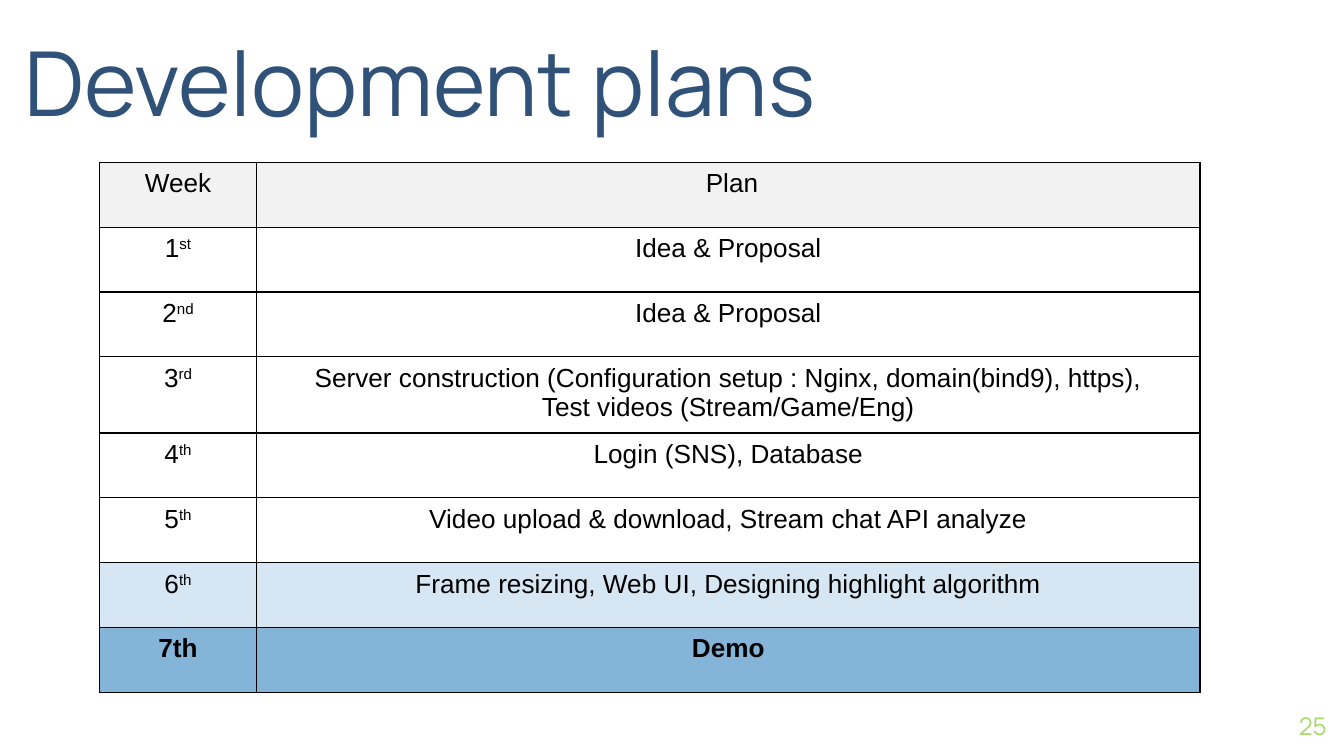
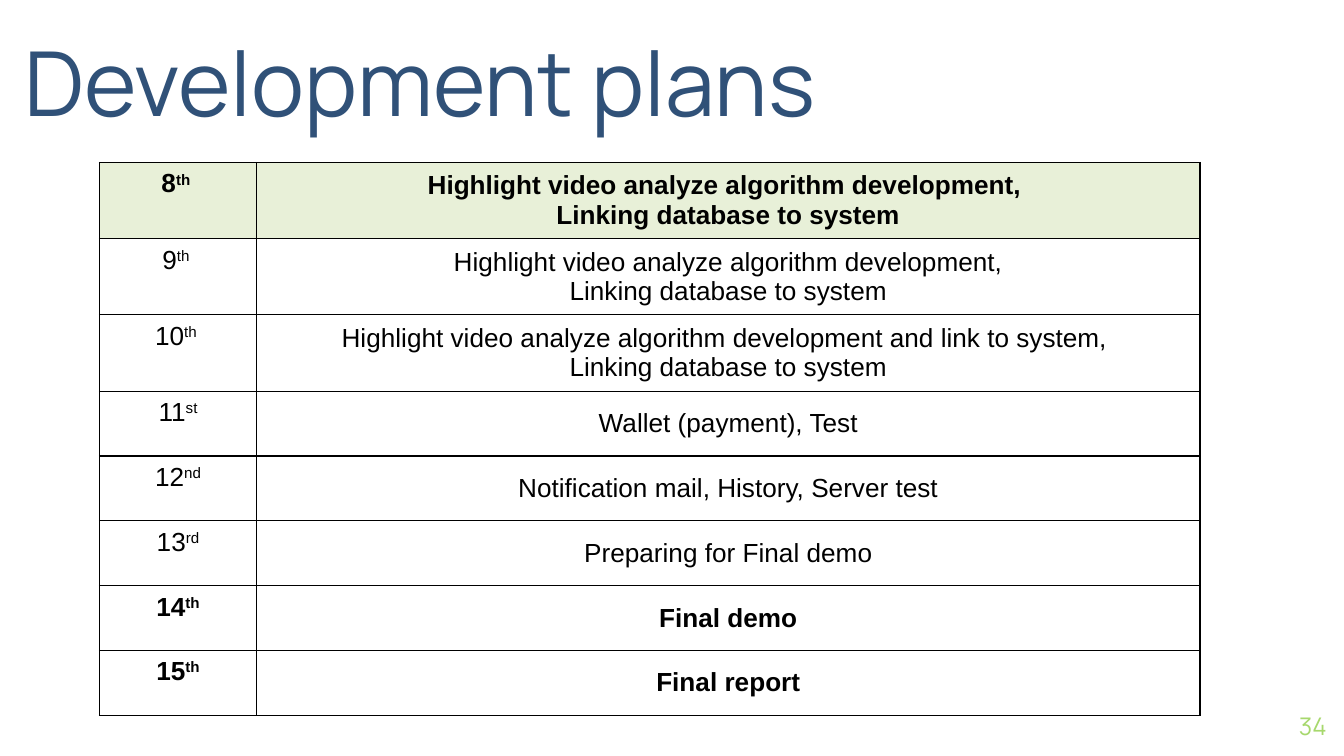
from lxml import etree
from pptx import Presentation
from pptx.dml.color import RGBColor
from pptx.enum.text import MSO_ANCHOR, PP_ALIGN
from pptx.oxml.ns import qn
from pptx.util import Cm, Pt

TOP, MIDDLE, BOTTOM = MSO_ANCHOR.TOP, MSO_ANCHOR.MIDDLE, MSO_ANCHOR.BOTTOM
LEFT, CENTER, RIGHT = PP_ALIGN.LEFT, PP_ALIGN.CENTER, PP_ALIGN.RIGHT

# Shared style
NAVY, LIME, BLACK, WHITE = "305178", "A7D86D", "000000", "FFFFFF"
GREY, PALE_BLUE, BLUE, PALE_GREEN = "F2F2F2", "D6E6F2", "85B4D9", "E8F0D8"
HEADING_FONT, TABLE_FONT = "Manrope", "Arial"

# Boxes in cm: left, top, width, height
TITLE_BOX = (0.46, 0.15, 17.5, 2.39)
NUMBER_BOX = (23.55, 13.18, 1.52, 1.09)
TABLE_BOX = (1.88, 3.07, 20.8, 9.8)
WEEK_WIDTH = 2.97

# Rows: week, ordinal suffix, plan lines, fill, bold
FIRST_WEEKS = [
    ("Week", "", [" Plan"], GREY, False),
    ("1", "st", ["Idea & Proposal"], None, False),
    ("2", "nd", ["Idea & Proposal"], None, False),
    ("3", "rd", ["Server construction (Configuration setup : Nginx, domain(bind9), https),",
                 "Test videos (Stream/Game/Eng)"], WHITE, False),
    ("4", "th", ["Login (SNS), Database"], None, False),
    ("5", "th", ["Video upload & download, Stream chat API analyze"], None, False),
    ("6", "th", ["Frame resizing, Web UI, Designing highlight algorithm"], PALE_BLUE, False),
    ("7th", "", ["Demo"], BLUE, True),
]
LINKING = "Linking database to system"
LAST_WEEKS = [
    ("8", "th ", ["Highlight video analyze algorithm development, ", LINKING], PALE_GREEN, True),
    ("9", "th ", ["Highlight video analyze algorithm development,", LINKING], None, False),
    ("10", "th ", ["Highlight video analyze algorithm development and link to system, ",
                   LINKING], None, False),
    ("11", "st", ["Wallet (payment), Test"], WHITE, False),
    ("12", "nd", ["Notification mail, History, Server test"], None, False),
    ("13", "rd", ["Preparing for Final demo"], None, False),
    ("14", "th", ["Final demo"], None, True),
    ("15", "th", ["Final report"], None, True),
]


def color(value):
    return RGBColor.from_string(value)


def style(paragraph, font_name, size, text_color, alignment, bold=False):
    paragraph.alignment = alignment
    font = paragraph.font
    font.name, font.size, font.bold = font_name, Pt(size), bold
    font.color.rgb = color(text_color)


def add_text(slide, box, text, size, text_color, alignment, anchor):
    frame = slide.shapes.add_textbox(*map(Cm, box)).text_frame
    frame.word_wrap = True
    frame.vertical_anchor = anchor
    frame.margin_left = frame.margin_top = frame.margin_right = frame.margin_bottom = 0
    paragraph = frame.paragraphs[0]
    paragraph.text = text
    style(paragraph, HEADING_FONT, size, text_color, alignment)


def set_borders(cell):
    properties = cell._tc.get_or_add_tcPr()
    for position, side in enumerate(("a:lnL", "a:lnR", "a:lnT", "a:lnB")):
        line = etree.Element(qn(side), w=str(Pt(0.75)))
        fill = etree.SubElement(line, qn("a:solidFill"))
        etree.SubElement(fill, qn("a:srgbClr"), val=BLACK)
        properties.insert(position, line)


def fill_cell(cell, lines, suffix, fill, bold, anchor):
    cell.vertical_anchor = anchor
    if fill:
        cell.fill.solid()
        cell.fill.fore_color.rgb = color(fill)
    else:
        cell.fill.background()
    set_borders(cell)
    frame = cell.text_frame
    for index, line in enumerate(lines):
        paragraph = frame.add_paragraph() if index else frame.paragraphs[0]
        style(paragraph, TABLE_FONT, 14, BLACK, CENTER, bold)
        paragraph.add_run().text = line
    # Raised ordinal ending
    if suffix:
        run = paragraph.add_run()
        run.text = suffix
        run._r.get_or_add_rPr().set("baseline", "30000")


def add_plan_table(slide, box, rows, plan_anchor):
    left, top, width, height = box
    table = slide.shapes.add_table(len(rows), 2, *map(Cm, box)).table
    table.first_row = table.horz_banding = False
    table.columns[0].width = Cm(WEEK_WIDTH)
    table.columns[1].width = Cm(width - WEEK_WIDTH)
    for index, (week, suffix, plan, fill, bold) in enumerate(rows):
        table.rows[index].height = Cm(height / len(rows))
        fill_cell(table.cell(index, 0), [week], suffix, fill, bold, TOP)
        fill_cell(table.cell(index, 1), plan, "", fill, bold, plan_anchor)


def add_plan_slide(presentation, number, rows, plan_anchor):
    slide = presentation.slides.add_slide(presentation.slide_layouts[6])
    add_text(slide, NUMBER_BOX, number, 13, LIME, RIGHT, MIDDLE)
    add_text(slide, TITLE_BOX, "Development plans", 48, NAVY, LEFT, BOTTOM)
    add_plan_table(slide, TABLE_BOX, rows, plan_anchor)


def main():
    presentation = Presentation()
    presentation.slide_width, presentation.slide_height = Cm(25.4), Cm(14.29)
    add_plan_slide(presentation, "25", FIRST_WEEKS, TOP)
    add_plan_slide(presentation, "34", LAST_WEEKS, MIDDLE)
    presentation.save("out.pptx")


if __name__ == "__main__":
    main()
